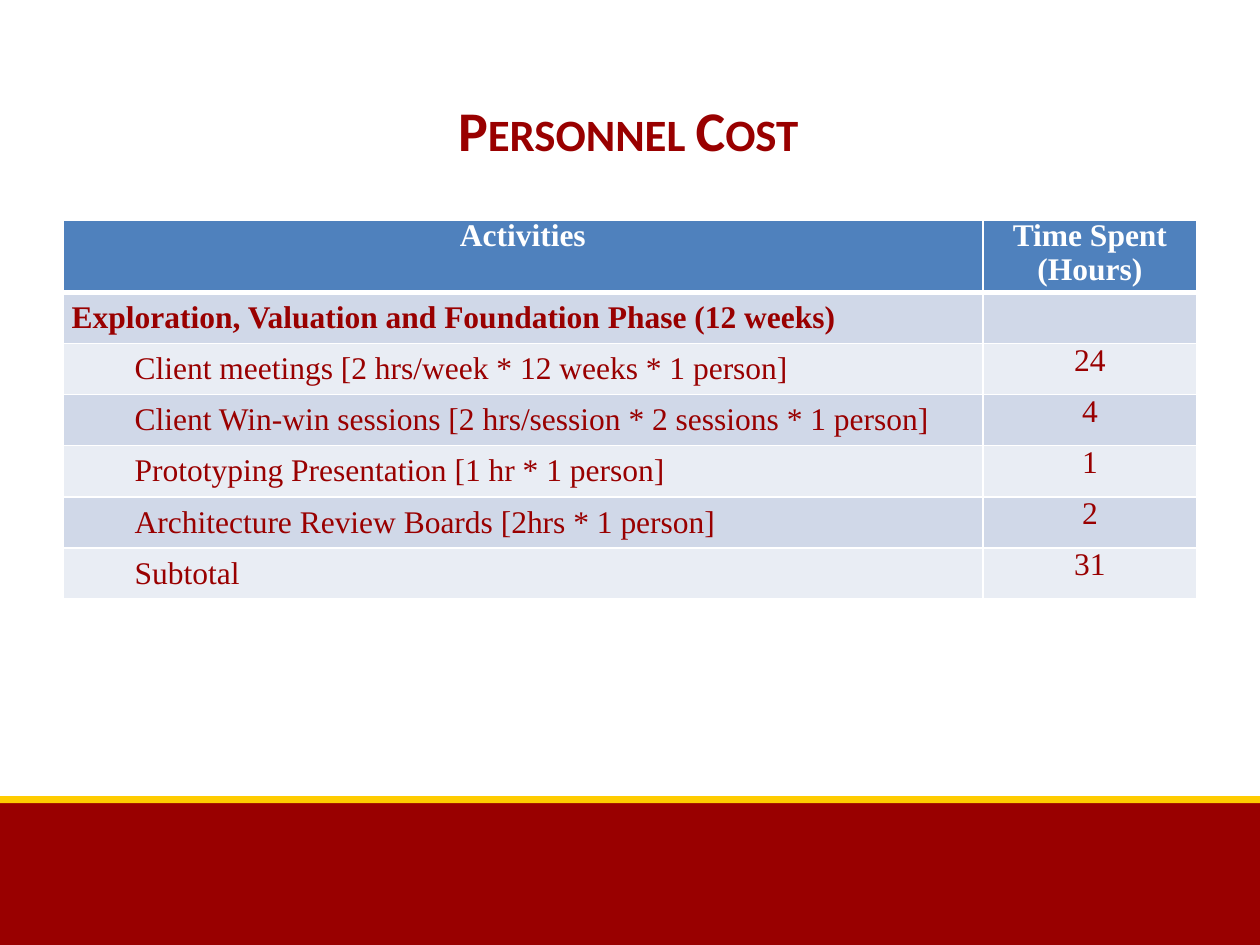
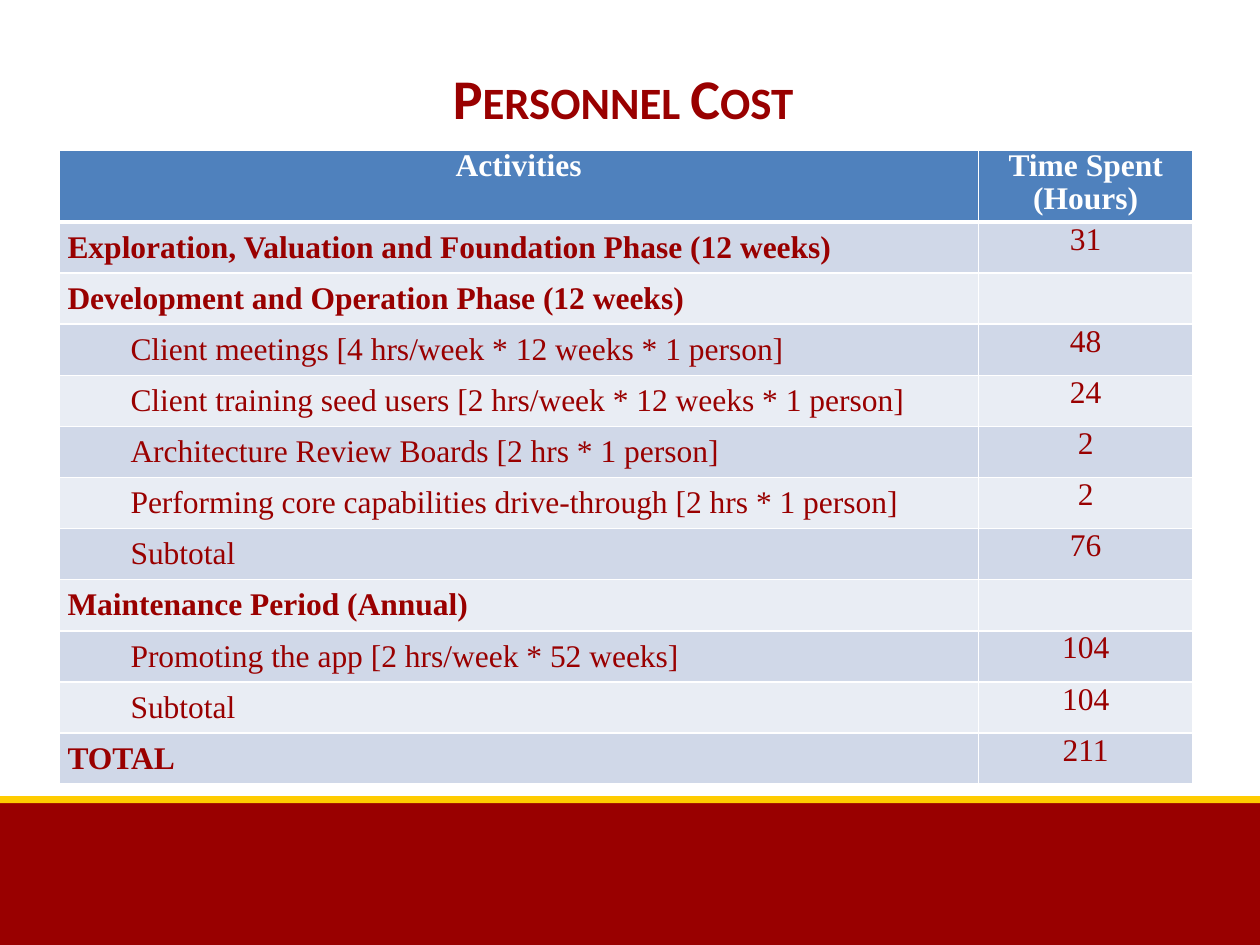
import pptx
import pptx.dml.color
import pptx.enum.shapes
import pptx.enum.text
import pptx.oxml
import pptx.oxml.ns
import pptx.util

Pt = pptx.util.Pt
RGBColor = pptx.dml.color.RGBColor
ALIGN = pptx.enum.text.PP_ALIGN
ANCHOR = pptx.enum.text.MSO_ANCHOR

CARDINAL = RGBColor(0x99, 0x00, 0x00)
GOLD = RGBColor(0xFF, 0xCC, 0x00)
WHITE = RGBColor(0xFF, 0xFF, 0xFF)
HEADER_BLUE = RGBColor(0x4F, 0x81, 0xBD)
ROW_BANDS = (RGBColor(0xD0, 0xD8, 0xE8), RGBColor(0xE9, 0xED, 0xF4))

SLIDE_WIDTH, SLIDE_HEIGHT = 720, 540
COLUMN_WIDTHS = (525.6, 122.4)
HEADER_HEIGHT, ROW_HEIGHT = 40, 29.2
ITEM_INDENT = 36

TITLE_FORMAT = {"name": "Calibri", "size": Pt(32), "bold": True}
TABLE_FORMAT = {"name": "Times New Roman", "size": Pt(18)}

HEADINGS = ("Activities", "Time Spent (Hours)")
PHASE, ITEM = "phase", "item"

FOUNDATION_ROWS = [
    (PHASE, "Exploration, Valuation and Foundation Phase (12 weeks)", ""),
    (ITEM, "Client meetings [2 hrs/week * 12 weeks * 1 person]", "24"),
    (ITEM, "Client Win-win sessions [2 hrs/session * 2 sessions * 1 person]", "4"),
    (ITEM, "Prototyping Presentation [1 hr * 1 person]", "1"),
    (ITEM, "Architecture Review Boards [2hrs * 1 person]", "2"),
    (ITEM, "Subtotal", "31"),
]
ALL_PHASES_ROWS = [
    (PHASE, "Exploration, Valuation and Foundation Phase (12 weeks)", "31"),
    (PHASE, "Development and Operation Phase (12 weeks)", ""),
    (ITEM, "Client meetings [4 hrs/week * 12 weeks * 1 person]", "48"),
    (ITEM, "Client training seed users [2 hrs/week * 12 weeks * 1 person]", "24"),
    (ITEM, "Architecture Review Boards [2 hrs * 1 person]", "2"),
    (ITEM, "Performing core capabilities drive-through [2 hrs * 1 person]", "2"),
    (ITEM, "Subtotal", "76"),
    (PHASE, "Maintenance Period (Annual)", ""),
    (ITEM, "Promoting the app [2 hrs/week * 52 weeks]", "104"),
    (ITEM, "Subtotal", "104"),
    (PHASE, "TOTAL", "211"),
]


def set_attributes(target, values):
    for name, value in values.items():
        setattr(target, name, value)


def style_font(font, color, values):
    set_attributes(font, values)
    font.color.rgb = color


def add_band(slide, top, height, color):
    band = slide.shapes.add_shape(
        pptx.enum.shapes.MSO_SHAPE.RECTANGLE, 0, Pt(top), Pt(SLIDE_WIDTH), Pt(height)
    )
    band.shadow.inherit = False
    band.fill.solid()
    band.fill.fore_color.rgb = color
    band.line.fill.background()


def add_title(slide, text, left, top, width, height):
    title = slide.shapes.add_textbox(Pt(left), Pt(top), Pt(width), Pt(height))
    margins = dict.fromkeys(
        ("margin_left", "margin_top", "margin_right", "margin_bottom"), Pt(7.2)
    )
    set_attributes(
        title.text_frame,
        {"word_wrap": True, "vertical_anchor": ANCHOR.MIDDLE, **margins},
    )
    paragraph = title.text_frame.paragraphs[0]
    paragraph.alignment = ALIGN.CENTER
    run = paragraph.add_run()
    run.text = text
    style_font(run.font, CARDINAL, TITLE_FORMAT)
    run._r.get_or_add_rPr().set("cap", "small")


def add_borders(cell, bottom_width):
    """Draw white borders; call before the fill, which must follow them in the XML."""
    properties = cell._tc.get_or_add_tcPr()
    for side, width in (("L", 1), ("R", 1), ("T", 1), ("B", bottom_width)):
        properties.append(pptx.oxml.parse_xml(
            f'<a:ln{side} {pptx.oxml.ns.nsdecls("a")} w="{Pt(width)}">'
            f'<a:solidFill><a:srgbClr val="{WHITE}"/></a:solidFill></a:ln{side}>'
        ))


def fill_cell(cell, text, fill, color, bold=False, centered=True,
              indent=0, line_spacing=1.0, bottom_border=1):
    add_borders(cell, bottom_border)
    cell.fill.solid()
    cell.fill.fore_color.rgb = fill
    set_attributes(cell, {
        "margin_left": Pt(5), "margin_right": Pt(5),
        "margin_top": 0, "margin_bottom": 0,
        "vertical_anchor": ANCHOR.TOP if centered else ANCHOR.MIDDLE,
    })
    paragraph = cell.text_frame.paragraphs[0]
    paragraph.alignment = ALIGN.CENTER if centered else ALIGN.LEFT
    paragraph.line_spacing = line_spacing
    if indent:
        paragraph._p.get_or_add_pPr().set("marL", str(Pt(indent)))
    if text:
        run = paragraph.add_run()
        run.text = text
        style_font(run.font, color, {**TABLE_FORMAT, "bold": bold})


def add_cost_table(slide, left, top, cost_rows):
    height = HEADER_HEIGHT + ROW_HEIGHT * len(cost_rows)
    table = slide.shapes.add_table(
        len(cost_rows) + 1, len(HEADINGS),
        Pt(left), Pt(top), Pt(sum(COLUMN_WIDTHS)), Pt(height),
    ).table
    for column, width in zip(table.columns, COLUMN_WIDTHS):
        column.width = Pt(width)
    for row in table.rows:
        row.height = Pt(ROW_HEIGHT)
    table.rows[0].height = Pt(HEADER_HEIGHT)

    for index, heading in enumerate(HEADINGS):
        fill_cell(table.cell(0, index), heading, HEADER_BLUE, WHITE,
                  bold=True, line_spacing=0.95, bottom_border=3)
    for index, (kind, activity, hours) in enumerate(cost_rows):
        band = ROW_BANDS[index % 2]
        fill_cell(table.cell(index + 1, 0), activity, band, CARDINAL,
                  bold=kind == PHASE, centered=False,
                  indent=ITEM_INDENT if kind == ITEM else 0)
        fill_cell(table.cell(index + 1, 1), hours, band, CARDINAL)


def add_cost_slide(presentation, title_box, table_position, cost_rows):
    slide = presentation.slides.add_slide(presentation.slide_layouts[6])
    add_band(slide, 457.2, 82.8, CARDINAL)
    add_band(slide, 455, 4, GOLD)
    add_title(slide, "Personnel Cost", *title_box)
    add_cost_table(slide, *table_position, cost_rows)


def main():
    presentation = pptx.Presentation()
    presentation.slide_width = Pt(SLIDE_WIDTH)
    presentation.slide_height = Pt(SLIDE_HEIGHT)
    add_cost_slide(presentation, (34, 32.5, 650, 82), (36, 126), FOUNDATION_ROWS)
    add_cost_slide(presentation, (31, 25, 650, 60.5), (33.6, 85.8), ALL_PHASES_ROWS)
    presentation.save("out.pptx")


if __name__ == "__main__":
    main()
